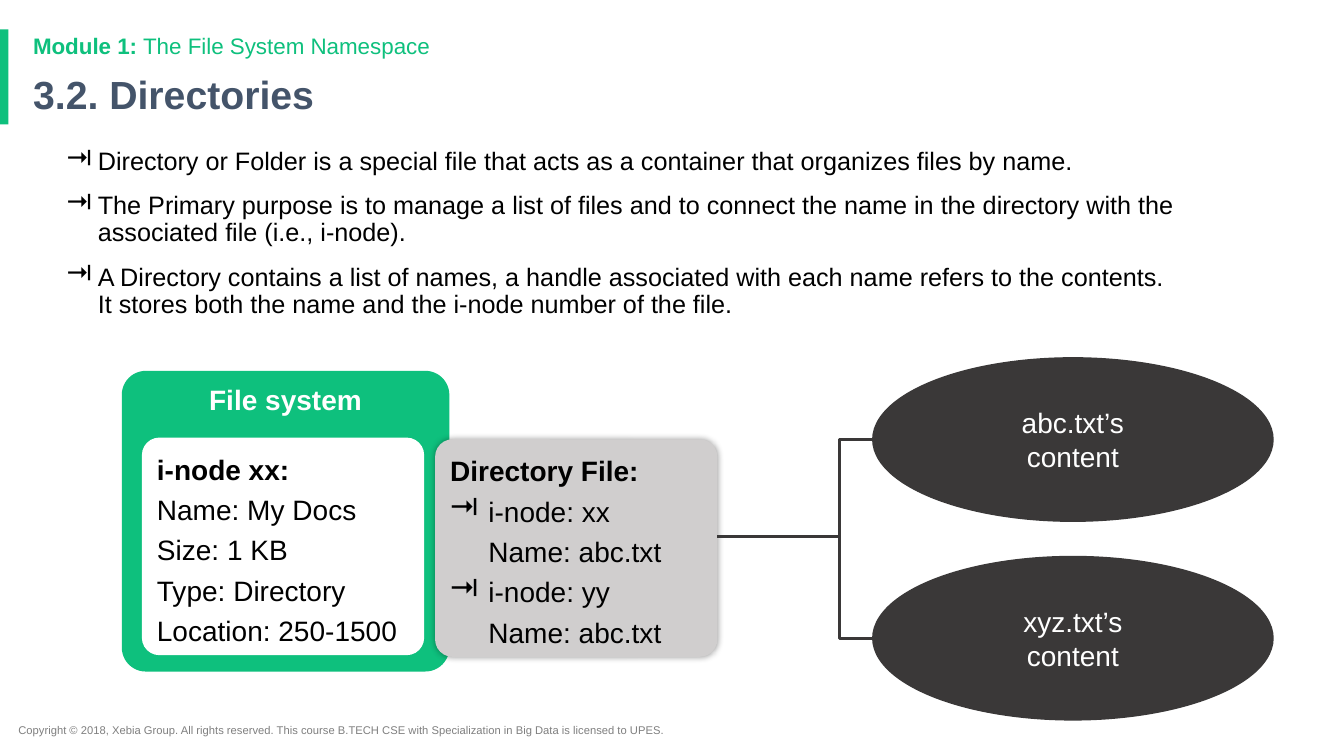
from dataclasses import dataclass
from lxml.etree import SubElement
from pptx import Presentation
from pptx.dml.color import RGBColor
from pptx.enum.shapes import MSO_SHAPE
from pptx.enum.text import MSO_ANCHOR, PP_ALIGN
from pptx.oxml.ns import qn
from pptx.util import Inches, Pt


@dataclass(frozen=True)
class Theme:
    font: str = "Arial"
    green: str = "0EC07D"
    slate: str = "44546A"
    dark: str = "3A3838"
    silver: str = "D0CECE"
    gray: str = "7F7F7F"
    black: str = "000000"
    white: str = "FFFFFF"
    title: int = 28
    label: int = 20
    body: int = 18
    module: int = 16
    footer: int = 8
    wire: float = 2.25


T = Theme()
WIDTH, HEIGHT = Inches(13.33), Inches(7.5)
COLS, ROWS = 160, 90


@dataclass(frozen=True)
class Box:
    x: float
    y: float
    w: float
    h: float

    def inner(self, x, y, w, h):
        return Box(self.x + x, self.y + y, w, h)

    def point(self, x, y):
        return int((self.x + x) * WIDTH / COLS), int((self.y + y) * HEIGHT / ROWS)

    def emu(self):
        return *self.point(0, 0), int(self.w * WIDTH / COLS), int(self.h * HEIGHT / ROWS)


def rgb(color):
    return RGBColor.from_string(color)


def style(p, size, color, bold=False, spacing=1.0):
    p.line_spacing = spacing
    for r in p.runs:
        r.font.name, r.font.size = T.font, Pt(size)
        r.font.color.rgb, r.font.bold = rgb(color), bold


def add_bullet(p, indent):
    pPr = p._p.get_or_add_pPr()
    pPr.set("marL", str(Inches(indent)))
    pPr.set("indent", str(-Inches(indent)))
    buClr = SubElement(pPr, qn("a:buClr"))
    SubElement(buClr, qn("a:srgbClr"), val=T.black)
    SubElement(pPr, qn("a:buChar"), char="⇥")


def fill_text(tf, text, anchor):
    tf.word_wrap = True
    tf.vertical_anchor = anchor
    tf.text = text
    return tf.paragraphs


def add_text(s, box, text, anchor=MSO_ANCHOR.TOP):
    tf = s.shapes.add_textbox(*box.emu()).text_frame
    return fill_text(tf, text, anchor)


def add_panel(s, box, kind, fill):
    sp = s.shapes.add_shape(kind, *box.emu())
    sp.shadow.inherit = False
    sp.fill.solid()
    sp.fill.fore_color.rgb = rgb(fill)
    sp.line.fill.background()
    if kind == MSO_SHAPE.ROUNDED_RECTANGLE:
        sp.adjustments[0] = 0.08
    return sp


def add_glow(sp):
    effects = sp._element.spPr.find(qn("a:effectLst"))
    shadow = SubElement(effects, qn("a:outerShdw"), blurRad=str(Pt(5)), dist="0", algn="ctr")
    color = SubElement(shadow, qn("a:srgbClr"), val=T.black)
    SubElement(color, qn("a:alpha"), val="40000")


def add_wire(s, points):
    builder = s.shapes.build_freeform(*points[0], scale=1.0)
    builder.add_line_segments(points[1:], close=False)
    sp = builder.convert_to_shape()
    sp.shadow.inherit = False
    sp.fill.background()
    sp.line.color.rgb = rgb(T.dark)
    sp.line.width = Pt(T.wire)


def add_header(s, box):
    add_panel(s, box.inner(0, 0, 1, box.h), MSO_SHAPE.RECTANGLE, T.green)
    title = s.shapes.title
    title.left, title.top, title.width, title.height = box.inner(2.75, 4.8, 138, 6.5).emu()
    p = fill_text(title.text_frame, "3.2. Directories", MSO_ANCHOR.MIDDLE)[0]
    p.alignment = PP_ALIGN.LEFT
    style(p, T.title, T.slate, True, 0.9)
    p = add_text(s, box.inner(2.75, 0.1, 138, 4), "Module 1:", MSO_ANCHOR.MIDDLE)[0]
    p.add_run().text = " The File System Namespace"
    style(p, T.module, T.green, False, 0.9)
    p.runs[0].font.bold = True


def add_bullets(s, box, items):
    for i, p in enumerate(add_text(s, box, "\n".join(items))):
        add_bullet(p, 0.31)
        style(p, T.body, T.black, False, 0.9)
        p.space_before = Pt(12 if i else 0)


def add_card(s, box, fill, lines, bulleted=False):
    sp = add_panel(s, box, MSO_SHAPE.ROUNDED_RECTANGLE, fill)
    for i, p in enumerate(fill_text(sp.text_frame, "\n".join(lines), MSO_ANCHOR.MIDDLE)):
        if bulleted and i:
            add_bullet(p, 0.38)
        p.alignment = PP_ALIGN.LEFT
        style(p, T.label, T.black, i == 0, 1.2)
    return sp


def add_diagram(s, box):
    card_w, card_h = 33.6, 25.9
    oval_x, oval_w, oval_h, oval_step = 89.4, 47.65, 19.45, 23.65
    stem_x, stem_y, bus_x = 70.9, 21.25, 85.45

    system = add_panel(s, box.inner(0, 1.55, 39, 35.8), MSO_SHAPE.ROUNDED_RECTANGLE, T.green)
    p = fill_text(system.text_frame, "File system", MSO_ANCHOR.TOP)[0]
    p.alignment = PP_ALIGN.CENTER
    style(p, T.label, T.white, True)

    add_card(s, box.inner(2.4, 9.5, card_w, card_h), T.white,
             ["i-node xx:", "Name: My Docs", "Size: 1 KB", "Type: Directory", "Location: 250-1500"])
    directory = add_card(s, box.inner(37.3, 9.7, card_w, card_h), T.silver,
                         ["Directory File:", "i-node: xx\vName: abc.txt", "i-node: yy\vName: abc.txt"], True)
    add_glow(directory)

    stem = s.shapes.add_connector(1, *box.point(stem_x, stem_y), *box.point(bus_x, stem_y))
    stem.line.color.rgb = rgb(T.dark)
    stem.line.width = Pt(T.wire)
    SubElement(stem._element.spPr, qn("a:effectLst"))
    upper, lower = oval_h / 2, oval_step + oval_h / 2
    add_wire(s, [box.point(oval_x, upper), box.point(bus_x, upper),
                 box.point(bus_x, lower), box.point(oval_x, lower)])

    for i, name in enumerate(["abc.txt", "xyz.txt"]):
        oval = add_panel(s, box.inner(oval_x, i * oval_step, oval_w, oval_h), MSO_SHAPE.OVAL, T.dark)
        oval.line.color.rgb = rgb(T.dark)
        oval.line.width = Pt(1)
        p = fill_text(oval.text_frame, f"{name}’s\vcontent", MSO_ANCHOR.MIDDLE)[0]
        p.alignment = PP_ALIGN.CENTER
        style(p, T.label, T.white)


def add_footer(s, box):
    p = add_text(s, box, "Copyright © 2018, Xebia Group. All rights reserved. This course B.TECH CSE "
                         "with Specialization in Big Data is licensed to UPES.")[0]
    style(p, T.footer, T.gray)


def main():
    prs = Presentation()
    prs.slide_width, prs.slide_height = WIDTH, HEIGHT
    s = prs.slides.add_slide(prs.slide_layouts[5])
    add_header(s, Box(0, 3.5, COLS, 11.3))
    add_bullets(s, Box(6.75, 17.15, 134.9, 24), [
        "Directory or Folder is a special file that acts as a container that organizes files by name.",
        "The Primary purpose is to manage a list of files and to connect the name in the directory "
        "with the associated file (i.e., i-node).",
        "A Directory contains a list of names, a handle associated with each name refers to the "
        "contents. It stores both the name and the i-node number of the file.",
    ])
    add_diagram(s, Box(14.5, 42.6, 137.1, 43.1))
    add_footer(s, Box(1, 85.5, 85.5, 2.9))
    prs.save("out.pptx")


if __name__ == "__main__":
    main()
